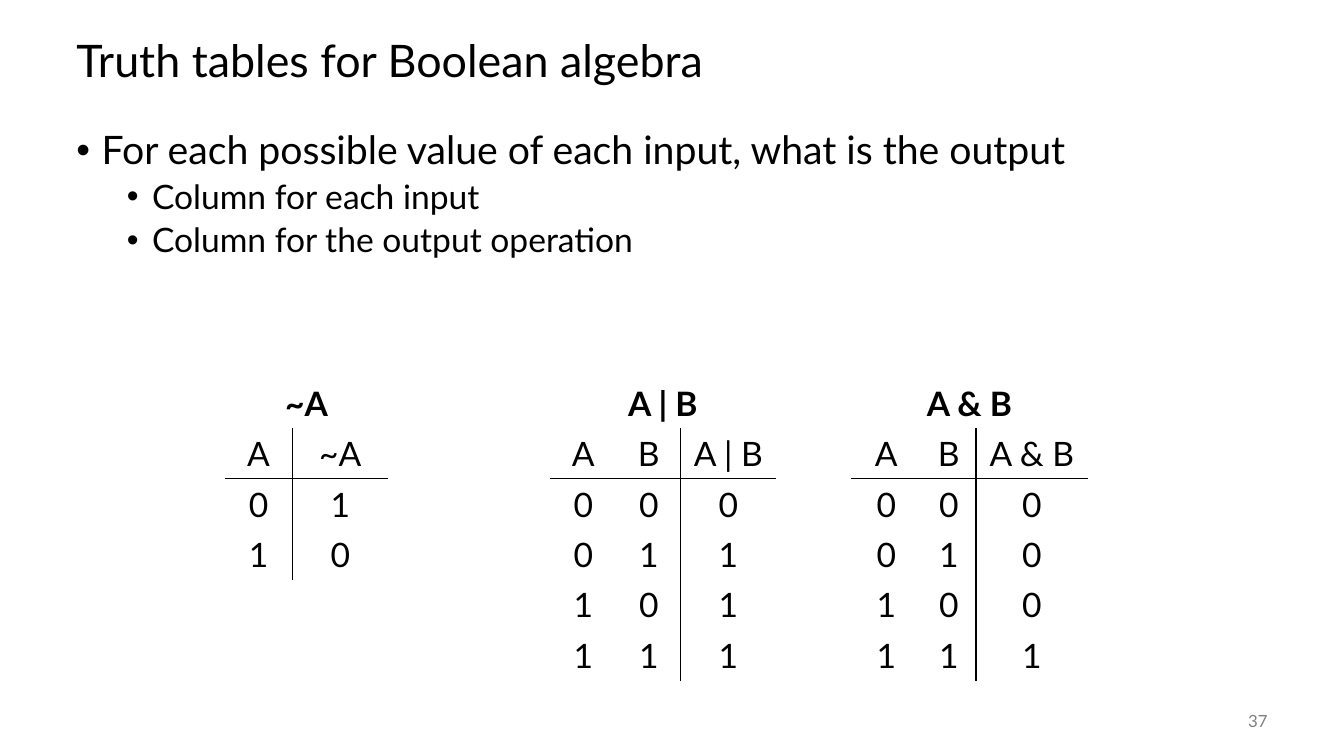
from itertools import product

from lxml import etree
from pptx import Presentation
from pptx import util as u
from pptx.dml.color import RGBColor
from pptx.enum import text
from pptx.oxml import ns

PX = 9144
FONT = "Lato"
BLACK = "000000"
GREY = "808080"
ROW_HEIGHT = 50
BULLETS = [
    ("For each possible value of each input, what is the output", 0),
    ("Column for each input", 1),
    ("Column for the output operation", 1),
]
TRUTH_TABLES = [
    ("A & B", (844, 375), (70, 54, 111), lambda a, b: a & b),
    ("A | B", (545, 375), (67, 63, 95), lambda a, b: a | b),
    ("~A", (223, 375), (67, 95), lambda a: 1 - a),
]


def px(length):
    return u.Emu(length * PX)


def colour(value):
    return RGBColor.from_string(value)


def set_font(para, size, value=BLACK, bold=False):
    font = para.font
    font.name = FONT
    font.size = u.Pt(size)
    font.bold = bold
    font.color.rgb = colour(value)


def add_text_box(page, box, anchor):
    frame = page.shapes.add_textbox(*map(px, box)).text_frame
    frame.word_wrap = True
    frame.vertical_anchor = anchor
    return frame


def add_title(page, box):
    para = add_text_box(page, box, text.MSO_ANCHOR.MIDDLE).paragraphs[0]
    para.text = "Truth tables for Boolean algebra"
    para.line_spacing = 0.9
    set_font(para, 32)


def add_bullets(page, box):
    frame = add_text_box(page, box, text.MSO_ANCHOR.TOP)
    for index, (wording, level) in enumerate(BULLETS):
        para = frame.add_paragraph() if index else frame.paragraphs[0]
        para.text = wording
        para.level = level
        para.line_spacing = 0.9
        para.space_before = u.Pt(5 if index else 0)
        properties = para._p.get_or_add_pPr()
        properties.set("marL", str(px(25 + 50 * level)))
        properties.set("indent", str(px(-25)))
        etree.SubElement(properties, ns.qn("a:buFont"), typeface="Arial")
        etree.SubElement(properties, ns.qn("a:buChar"), char="•")
        set_font(para, 28 - 4 * level)


def add_page_number(page, box):
    para = add_text_box(page, box, text.MSO_ANCHOR.MIDDLE).paragraphs[0]
    para.text = "37"
    para.alignment = text.PP_ALIGN.RIGHT
    set_font(para, 12, GREY)


def set_borders(cell, ruled_sides):
    properties = cell._tc.get_or_add_tcPr()
    for side in "LRTB":
        line = etree.SubElement(properties, ns.qn(f"a:ln{side}"), w=str(u.Pt(1)))
        if side in ruled_sides:
            fill = etree.SubElement(line, ns.qn("a:solidFill"))
            etree.SubElement(fill, ns.qn("a:srgbClr"), val=BLACK)
        else:
            etree.SubElement(line, ns.qn("a:noFill"))


def ruled_sides(row, column, output_column):
    if row == 0:
        return ""
    sides = {1: "B", 2: "T"}.get(row, "")
    return sides + {output_column - 1: "R", output_column: "L"}.get(column, "")


def add_truth_table(page, corner, name, widths, operation):
    output_column = len(widths) - 1
    rows = [[name] + [""] * output_column, [*"AB"[:output_column], name]]
    for inputs in product((0, 1), repeat=output_column):
        rows.append([*inputs, operation(*inputs)])
    box = (*corner, sum(widths), ROW_HEIGHT * len(rows))
    table = page.shapes.add_table(len(rows), len(widths), *map(px, box)).table
    table.first_row = False
    table.horz_banding = False
    for column, width in zip(table.columns, widths):
        column.width = px(width)
    table.cell(0, 0).merge(table.cell(0, output_column))
    for row, values in enumerate(rows):
        for column, value in enumerate(values):
            cell = table.cell(row, column)
            cell.vertical_anchor = text.MSO_ANCHOR.MIDDLE
            set_borders(cell, ruled_sides(row, column, output_column))
            cell.fill.background()
            para = cell.text_frame.paragraphs[0]
            para.text = str(value)
            para.alignment = text.PP_ALIGN.CENTER
            set_font(para, 24, bold=row == 0)


def main():
    deck = Presentation()
    deck.slide_width = px(1333)
    deck.slide_height = px(750)
    page = deck.slides.add_slide(deck.slide_layouts[6])
    add_title(page, (66, 25, 1200, 75))
    add_bullets(page, (66, 125, 1200, 550))
    add_page_number(page, (1167, 695, 100, 40))
    for name, corner, widths, operation in TRUTH_TABLES:
        add_truth_table(page, corner, name, widths, operation)
    deck.save("out.pptx")


if __name__ == "__main__":
    main()
